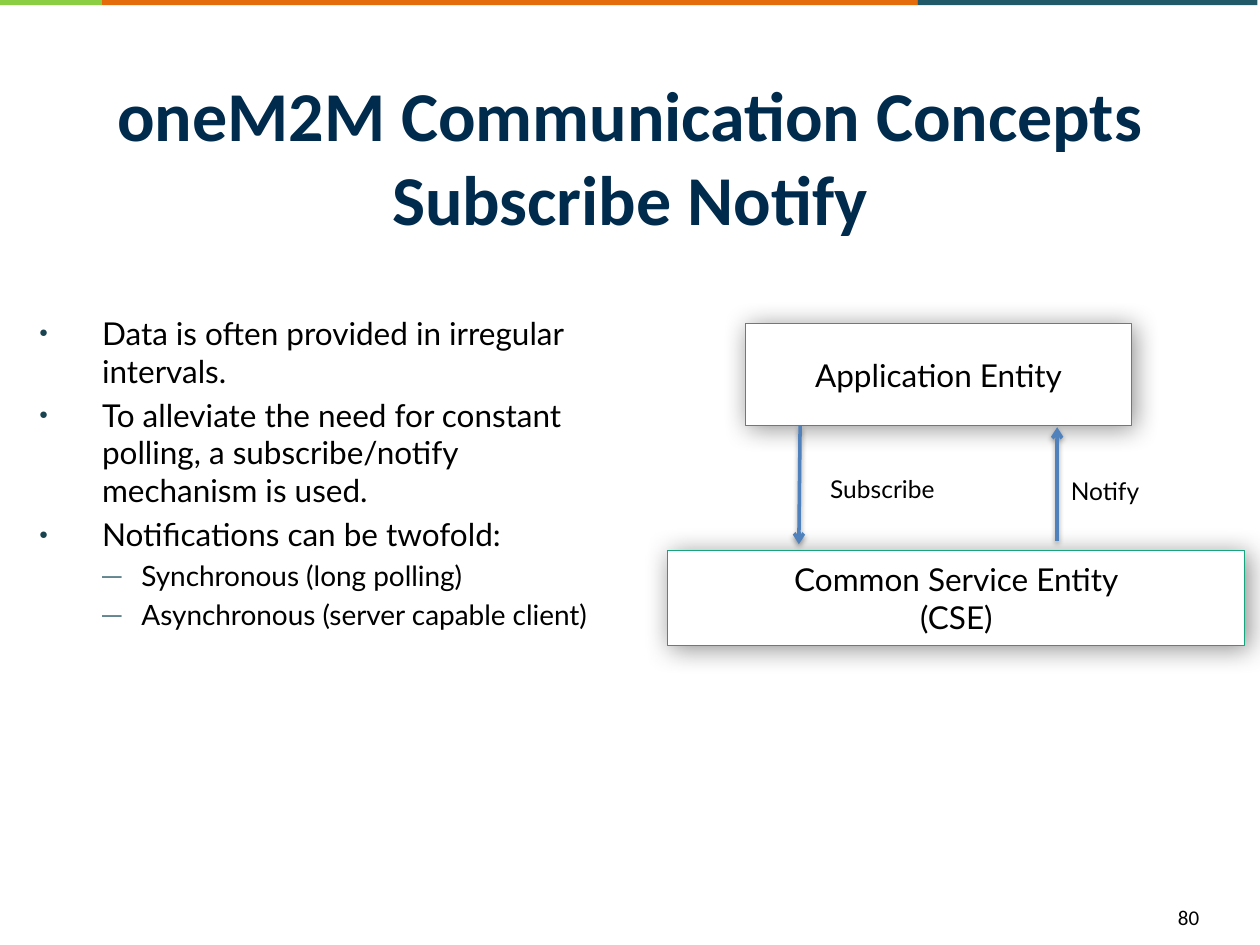
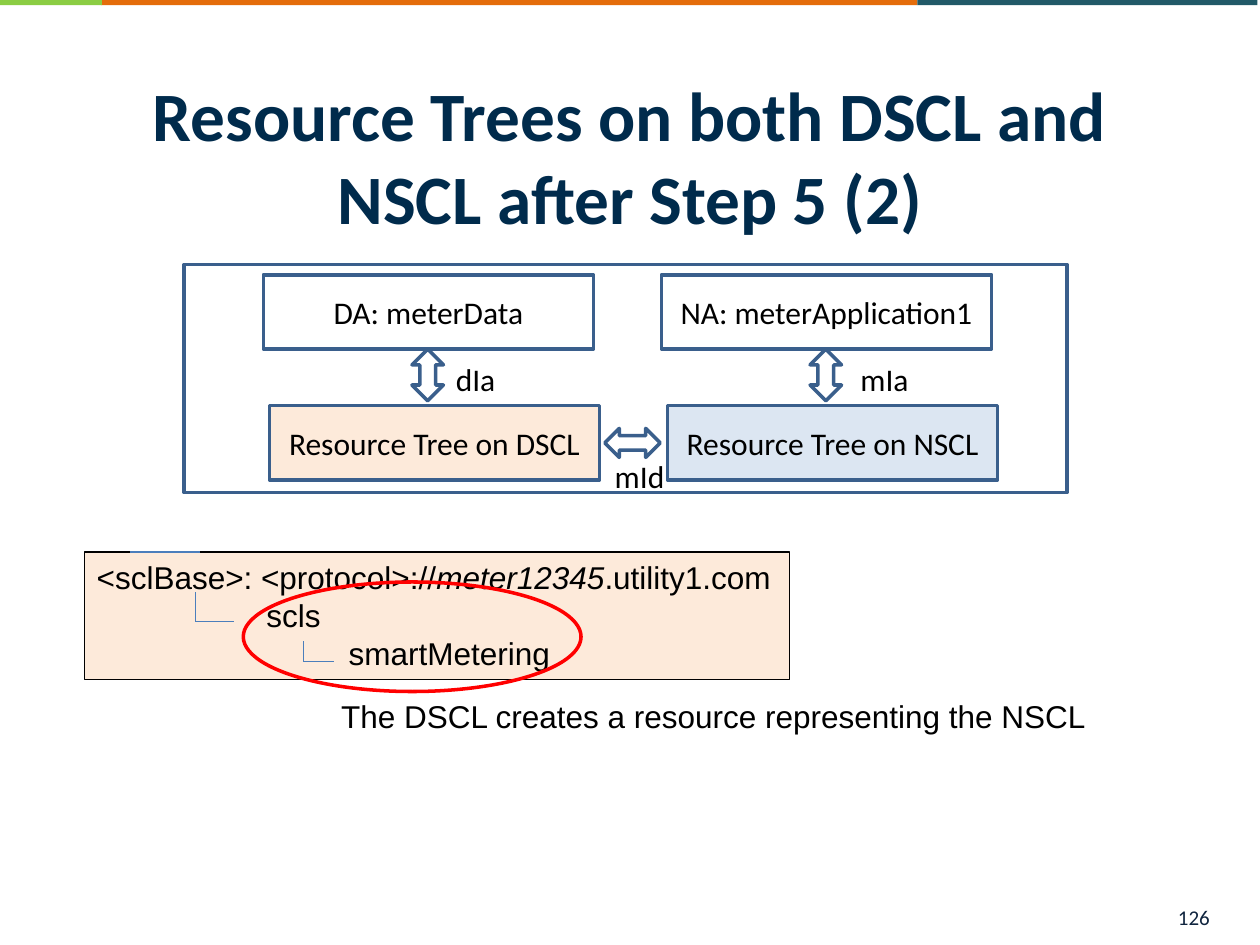
from lxml import etree
from pptx import Presentation
from pptx.dml.color import RGBColor
from pptx.enum.shapes import MSO_CONNECTOR, MSO_SHAPE
from pptx.enum.text import MSO_ANCHOR, MSO_AUTO_SIZE, PP_ALIGN
from pptx.oxml.ns import qn
from pptx.util import Pt

RECT, OVAL = MSO_SHAPE.RECTANGLE, MSO_SHAPE.OVAL
UP_DOWN, LEFT_RIGHT = MSO_SHAPE.UP_DOWN_ARROW, MSO_SHAPE.LEFT_RIGHT_ARROW
STRAIGHT = MSO_CONNECTOR.STRAIGHT
LEFT, CENTER = PP_ALIGN.LEFT, PP_ALIGN.CENTER
TOP, MIDDLE = MSO_ANCHOR.TOP, MSO_ANCHOR.MIDDLE
NO_FIT = MSO_AUTO_SIZE.NONE
CONTENT_LAYOUT, TITLE_LAYOUT = 1, 5

COLORS = {
    "title": "002B4C", "text": "000000", "number": "10253F", "white": "FFFFFF",
    "orange": "E46C0A", "teal": "215968", "lime": "8BCD43",
    "entity": "17A57D", "arrow": "4F81BD", "outline": "3A5F8C",
    "device": "FDEADA", "network": "DCE6F2", "branch": "4B7EBC", "ring": "FF0000",
    "dot": "19434F", "dash": "1D4F5D",
}

# Content: text first, then (left, top, width, height) in points
BANDS = [("orange", 57.6, 466.6), ("teal", 524.2, 194.4), ("lime", -3.6, 61.9)]

NOTIFY_TITLE = "oneM2M Communication Concepts\nSubscribe Notify"
NOTIFY_POINTS = [
    (0, "Data is often provided in irregular intervals."),
    (0, "To alleviate the need for constant polling, a subscribe/notify mechanism is used."),
    (0, "Notifications can be twofold:"),
    (1, "Synchronous (long polling)"),
    (1, "Asynchronous (server capable client)"),
]
# Per level: font size, left margin, hanging indent, bullet, colour, bullet size %
LEVELS = [(18, 36, 36, "●", "dot", 48), (16, 58.5, 22.5, "—", "dash", 70)]
ENTITIES = [
    (["Common Service Entity", "(CSE)"], (381.6, 314.6, 329.8, 54)),
    (["Application Entity"], (426.2, 185, 220.3, 58.3)),
]
MESSAGES = [  # label, label position, arrow from, arrow to
    ("Subscribe", (467.3, 267.1), (457.2, 243.4), (456.5, 311)),
    ("Notify", (604.8, 268.6), (604.1, 308.9), (604.1, 244.1)),
]

TREES_TITLE = "Resource Trees on both DSCL and NSCL after Step 5 (2)"
SIDES = [  # application, interface, interface label left, tree, tree fill
    ("DA: meterData", "dIa", 253.4, "Resource Tree on DSCL", "device"),
    ("NA: meterApplication1", "mIa", 484.6, "Resource Tree on NSCL", "network"),
]
SIDE_STEP, SIDE_WIDTH, SIDE_HEIGHT = 227.5, 188.6, 42.5
RESOURCE_LINES = [  # indent, runs of (text, italic)
    (0, [("<sclBase>: <protocol>://", False), ("meter12345", True),
         (".utility1.com", False)]),
    (97, [("scls", False)]),
    (144, [("smartMetering", False)]),
]
BRANCHES = [
    ((111.6, 338.4), (111.6, 355)), ((74.2, 315.4), (114.5, 315.4)),
    ((173.5, 378), (173.5, 366.5)), ((111.6, 355), (133.9, 355)),
    ((190.8, 378), (173.5, 378)),
]
CAPTION = "The DSCL creates a resource representing the NSCL"


def rgb(name):
    return RGBColor.from_string(COLORS[name])


def points(*lengths):
    return [Pt(length) for length in lengths]


def write(frame, paragraphs, size=18, font="Calibri", color="text", bold=False,
          align=LEFT, anchor=TOP, wrap=True):
    """Fill a frame; each paragraph is a string or a list of (text, italic)."""
    frame.word_wrap = wrap
    frame.auto_size = NO_FIT
    frame.vertical_anchor = anchor
    for i, content in enumerate(paragraphs):
        paragraph = frame.add_paragraph() if i else frame.paragraphs[0]
        paragraph.alignment = align
        runs = [(content, False)] if isinstance(content, str) else content
        for text, italic in runs:
            for j, line in enumerate(text.split("\n")):
                if j:
                    paragraph.add_line_break()
                run = paragraph.add_run()
                run.text = line
                run.font.size, run.font.name = Pt(size), font
                run.font.bold, run.font.italic = bold, italic
                run.font.color.rgb = rgb(color)


def add_label(slide, text, box, **style):
    label = slide.shapes.add_textbox(*points(*box))
    write(label.text_frame, [text], **style)


def add_box(slide, kind, box, fill=None, line=None, weight=2):
    shape = slide.shapes.add_shape(kind, *points(*box))
    shape.shadow.inherit = False
    if fill:
        shape.fill.solid()
        shape.fill.fore_color.rgb = rgb(fill)
    else:
        shape.fill.background()
    if line:
        shape.line.color.rgb = rgb(line)
        shape.line.width = Pt(weight)
    else:
        shape.line.fill.background()
    return shape


def add_line(slide, start, end, color, weight):
    line = slide.shapes.add_connector(STRAIGHT, *points(*start, *end))
    line.line.color.rgb = rgb(color)
    line.line.width = Pt(weight)
    etree.SubElement(line.element.spPr, qn("a:effectLst"))
    return line


def cast_shadow(shape, alpha, blur, distance, angle):
    effects = shape.element.spPr.find(qn("a:effectLst"))
    shadow = etree.SubElement(
        effects, qn("a:outerShdw"), blurRad=str(Pt(blur)), dist=str(Pt(distance)),
        dir=str(angle * 60000), algn="ctr", rotWithShape="0")
    tint = etree.SubElement(shadow, qn("a:srgbClr"), val=COLORS["text"])
    etree.SubElement(tint, qn("a:alpha"), val=str(alpha * 1000))


def place(placeholder, box):
    placeholder.left, placeholder.top, placeholder.width, placeholder.height = points(*box)


def set_indent(paragraph, margin, hanging=0):
    properties = paragraph._p.get_or_add_pPr()
    properties.set("marL", str(Pt(margin)))
    properties.set("indent", str(-Pt(hanging)))
    return properties


def set_bullet(paragraph, margin, hanging, mark, color, percent):
    properties = set_indent(paragraph, margin, hanging)
    tint = etree.SubElement(properties, qn("a:buClr"))
    etree.SubElement(tint, qn("a:srgbClr"), val=COLORS[color])
    etree.SubElement(properties, qn("a:buSzPct"), val=str(percent * 1000))
    etree.SubElement(properties, qn("a:buFont"), typeface="Arial")
    etree.SubElement(properties, qn("a:buChar"), char=mark)


def start_slide(deck, layout, title, title_size, number, number_color):
    """Add a slide with the shared bands, title and slide number."""
    slide = deck.slides.add_slide(deck.slide_layouts[layout])
    for color, left, width in BANDS:
        add_box(slide, RECT, (left, -0.7, width, 3.6), color)
    place(slide.shapes.title, (36, 49, 648, 79.2))
    write(slide.shapes.title.text_frame, [title], size=title_size, color="title",
          bold=True, align=CENTER, anchor=MIDDLE)
    add_label(slide, number, (666, 513.4, 46, 28.8), size=12, color=number_color)
    return slide


def build_notify(deck):
    slide = start_slide(deck, CONTENT_LAYOUT, NOTIFY_TITLE, 40, "80", "text")

    # Bulleted list
    body = slide.placeholders[1]
    place(body, (15.1, 175.7, 345.6, 295.9))
    write(body.text_frame, [text for _, text in NOTIFY_POINTS], font="Lato")
    for i, (level, _) in enumerate(NOTIFY_POINTS):
        size, *bullet = LEVELS[level]
        paragraph = body.text_frame.paragraphs[i]
        paragraph.level = level
        paragraph.space_before = Pt(size * 0.2 if i else 0)
        set_bullet(paragraph, *bullet)
        paragraph.runs[0].font.size = Pt(size)

    # Entities and the messages between them
    for lines, box in ENTITIES:
        entity = add_box(slide, RECT, box, "white", "entity", 0.5)
        cast_shadow(entity, 43, 15, 2, 45)
        write(entity.text_frame, lines, font="Lato", align=CENTER, anchor=MIDDLE)
    for text, corner, start, end in MESSAGES:
        arrow = add_line(slide, start, end, "arrow", 2)
        etree.SubElement(arrow.line._get_or_add_ln(), qn("a:tailEnd"), type="arrow")
        cast_shadow(arrow, 38, 3.1, 1.6, 90)
        add_label(slide, text, (*corner, 82, 24.5), size=14, font="Lato")


def build_trees(deck):
    slide = start_slide(deck, TITLE_LAYOUT, TREES_TITLE, 39.6, "126", "number")

    # Device and network sides
    for i, (application, interface, label_left, tree, fill) in enumerate(SIDES):
        shift = i * SIDE_STEP
        for text, left, top, color in ((application, 150.5, 157, None),
                                       (tree, 154, 231.8, fill)):
            box = add_box(slide, RECT, (left + shift, top, SIDE_WIDTH, SIDE_HEIGHT),
                          color, "outline")
            write(box.text_frame, [text], align=CENTER, anchor=MIDDLE)
        add_box(slide, UP_DOWN, (235.4 + shift, 199.5, 18, 29.5), line="outline")
        add_label(slide, interface, (label_left, 202.3, 42, 28.8), wrap=False)
    add_box(slide, LEFT_RIGHT, (345.6, 244.8, 31.7, 16.6), line="outline")
    add_label(slide, "mId", (344.2, 257.8, 43.2, 28.8), wrap=False)
    add_box(slide, RECT, (105.1, 151.2, 504.7, 130.3), line="outline")

    # Resource tree of the device
    resources = add_box(slide, RECT, (48.2, 315.4, 403.2, 72.7), "device", "text", 0.75)
    write(resources.text_frame, [runs for _, runs in RESOURCE_LINES], font="Arial")
    for paragraph, (margin, _) in zip(resources.text_frame.paragraphs, RESOURCE_LINES):
        set_indent(paragraph, margin)
    for start, end in BRANCHES:
        add_line(slide, start, end, "branch", 0.75)
    add_box(slide, OVAL, (139, 332.6, 193, 62.6), line="ring")
    add_label(slide, CAPTION, (187.9, 394.6, 478, 28.8), font="Arial")


def main():
    deck = Presentation()
    deck.slide_width, deck.slide_height = points(720, 540)
    build_notify(deck)
    build_trees(deck)
    deck.save("out.pptx")


if __name__ == "__main__":
    main()
